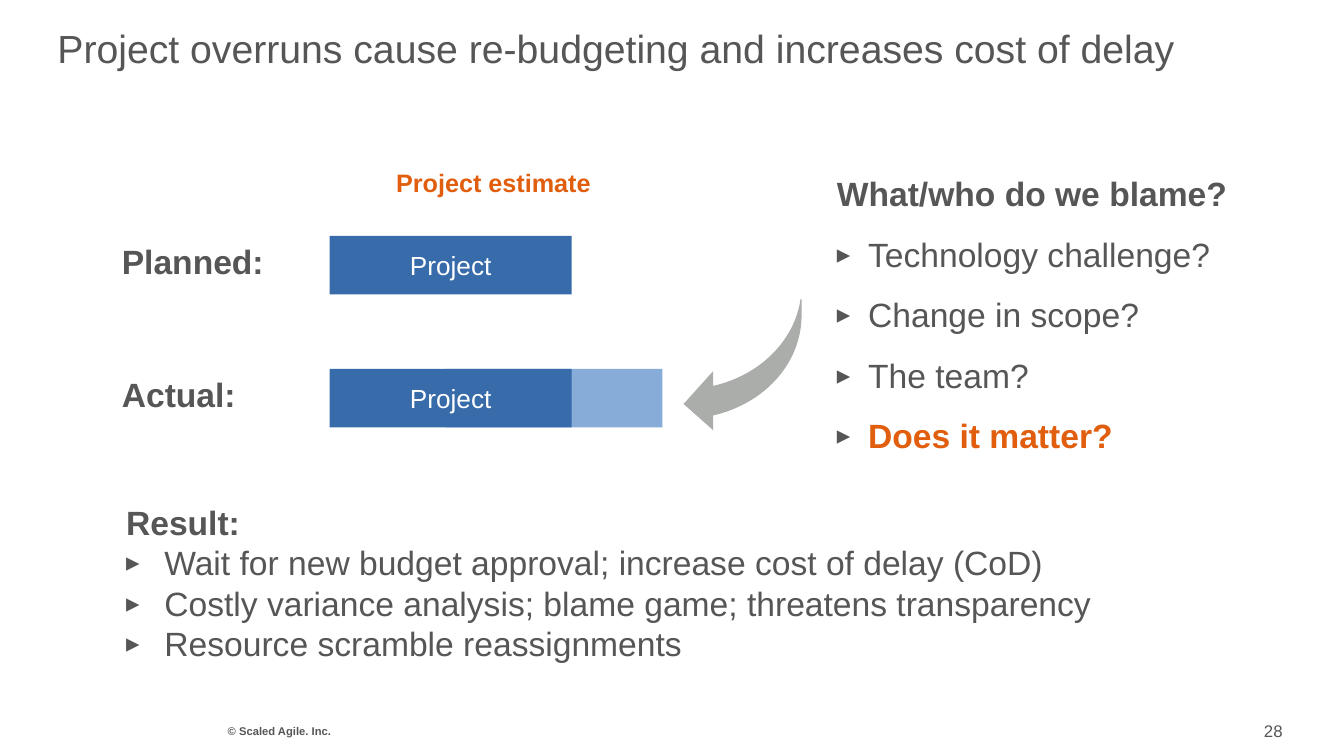
import pptx
import pptx.dml.color
import pptx.enum.shapes
import pptx.enum.text
import pptx.oxml
import pptx.oxml.ns
import pptx.util

RGBColor = pptx.dml.color.RGBColor
SHAPES = pptx.enum.shapes.MSO_SHAPE
ANCHOR = pptx.enum.text.MSO_ANCHOR
ALIGN = pptx.enum.text.PP_ALIGN
FIT = pptx.enum.text.MSO_AUTO_SIZE

GREY = RGBColor(0x56, 0x56, 0x56)
ORANGE = RGBColor(0xE0, 0x5E, 0x0D)
BLUE = RGBColor(0x37, 0x6B, 0xA9)
LIGHT_BLUE = RGBColor(0x87, 0xAC, 0xD8)
ARROW_GREY = RGBColor(0xAA, 0xAD, 0xAA)
WHITE = RGBColor(0xFF, 0xFF, 0xFF)

PX = 9144  # EMU per px, 100 px to the inch


def px(*lengths):
    return [pptx.util.Emu(length * PX) for length in lengths]


def apply(target, formats):
    for key, value in formats.items():
        setattr(target, key, value)


class SlideBuilder:
    FONT = {"name": "Arial", "size": pptx.util.Pt(24), "bold": False}

    def __init__(self, slide):
        self.slide = slide

    def add_words(self, paragraph, text, color=GREY, **font):
        run = paragraph.add_run()
        run.text = text
        if "size" in font:
            font["size"] = pptx.util.Pt(font["size"])
        apply(run.font, {**self.FONT, **font})
        run.font.color.rgb = color

    def move(self, shape, box):
        apply(shape, dict(zip(("left", "top", "width", "height"), px(*box))))

    def title(self, box, text, **font):
        heading = self.slide.shapes.title
        self.move(heading, box)
        apply(heading.text_frame, {
            "margin_left": 0, "margin_top": px(4)[0], "margin_right": 0,
            "margin_bottom": 0, "vertical_anchor": ANCHOR.MIDDLE,
            "word_wrap": False, "auto_size": FIT.SHAPE_TO_FIT_TEXT})
        line = heading.text_frame.paragraphs[0]
        apply(line, {"alignment": ALIGN.LEFT, "line_spacing": 0.9})
        self.add_words(line, text, **font)

    def bullet(self, paragraph, indent):
        properties = paragraph._p.get_or_add_pPr()
        properties.set("marL", str(indent * PX))
        properties.set("indent", str(-indent * PX))
        marks = ("buClr", "buSzPct", "buFont", "buChar") if indent else ("buNone",)
        settings = {"buSzPct": ("val", "80000"), "buFont": ("typeface", "Arial"),
                    "buChar": ("char", "▸")}
        for mark in marks:
            element = pptx.oxml.ns.qn("a:" + mark)
            child = properties.makeelement(element, dict([settings[mark]] if mark in settings else []))
            if mark == "buClr":
                child.append(child.makeelement(pptx.oxml.ns.qn("a:srgbClr"), {"val": str(GREY)}))
            properties.append(child)

    def bullets(self, index, box, heading, items, indent, spacing, wrap, highlight=None):
        body = self.slide.placeholders[index]
        self.move(body, box)
        frame = body.text_frame
        apply(frame, {"word_wrap": wrap, "auto_size": FIT.SHAPE_TO_FIT_TEXT,
                      "vertical_anchor": ANCHOR.TOP})
        for number, text in enumerate([heading, *items]):
            line = frame.add_paragraph() if number else frame.paragraphs[0]
            self.bullet(line, indent if number else 0)
            apply(line, {"line_spacing": spacing, "space_before": pptx.util.Pt(0)})
            marked = text == highlight
            self.add_words(line, text, ORANGE if marked else GREY, bold=marked or not number)

    def label(self, box, text, color=GREY, align=ALIGN.LEFT, wrap=False, **font):
        frame = self.slide.shapes.add_textbox(*px(*box)).text_frame
        apply(frame, {"word_wrap": wrap, "auto_size": FIT.SHAPE_TO_FIT_TEXT})
        frame.paragraphs[0].alignment = align
        self.add_words(frame.paragraphs[0], text, color, **font)

    def shape(self, kind, box, fill, rotation=0):
        shape = self.slide.shapes.add_shape(kind, *px(*box))
        shape.shadow.inherit = False
        shape.fill.solid()
        shape.fill.fore_color.rgb = fill
        shape.line.fill.background()
        shape.rotation = rotation
        return shape

    def bar(self, box, fill, text=None):
        bar = self.shape(SHAPES.ROUNDED_RECTANGLE, box, fill)
        bar.adjustments[0] = 0
        if text:
            bar.text_frame.vertical_anchor = ANCHOR.MIDDLE
            line = bar.text_frame.paragraphs[0]
            line.alignment = ALIGN.CENTER
            self.add_words(line, text, WHITE, size=18.7)


def main():
    deck = pptx.Presentation()
    deck.slide_width, deck.slide_height = px(1333, 750)
    page = SlideBuilder(deck.slides.add_slide(deck.slide_layouts[3]))

    # Title and lists
    page.title((57, 25, 1122, 46),
               "Project overruns cause re-budgeting and increases cost of delay", size=28)
    page.bullets(1, (115, 493, 1064, 172), "Result:",
                 ["Wait for new budget approval; increase cost of delay (CoD)",
                  "Costly variance analysis; blame game; threatens transparency",
                  "Resource scramble reassignments"],
                 indent=38, spacing=1.0, wrap=True)
    page.bullets(2, (820, 147, 410, 306), "What/who do we blame?",
                 ["Technology challenge?", "Change in scope?", "The team?", "Does it matter?"],
                 indent=31, spacing=1.5, wrap=False, highlight="Does it matter?")

    # Planned and actual bars, with the overrun behind the actual one
    page.label((383, 161, 215, 40), "Project estimate", ORANGE, size=18, bold=True)
    page.bar((442, 366, 215, 58), LIGHT_BLUE)
    for stage, top, width in (("Planned:", 234, 171), ("Actual:", 366, 134)):
        page.label((111, top, width, 50), stage, bold=True)
        page.bar((327, top, 240, 58), BLUE, "Project")

    # Curved arrow, its upper half covered
    page.shape(SHAPES.CURVED_DOWN_ARROW, (612, 247, 249, 117), ARROW_GREY, rotation=90)
    page.shape(SHAPES.RECTANGLE, (653, 153, 153, 144), WHITE)

    # Footer
    page.label((216, 714, 125, 24), "© Scaled Agile. Inc.", size=8, bold=True)
    page.label((1076, 710, 206, 27), "28", align=ALIGN.RIGHT, wrap=True, size=12)

    deck.save("out.pptx")


if __name__ == "__main__":
    main()
